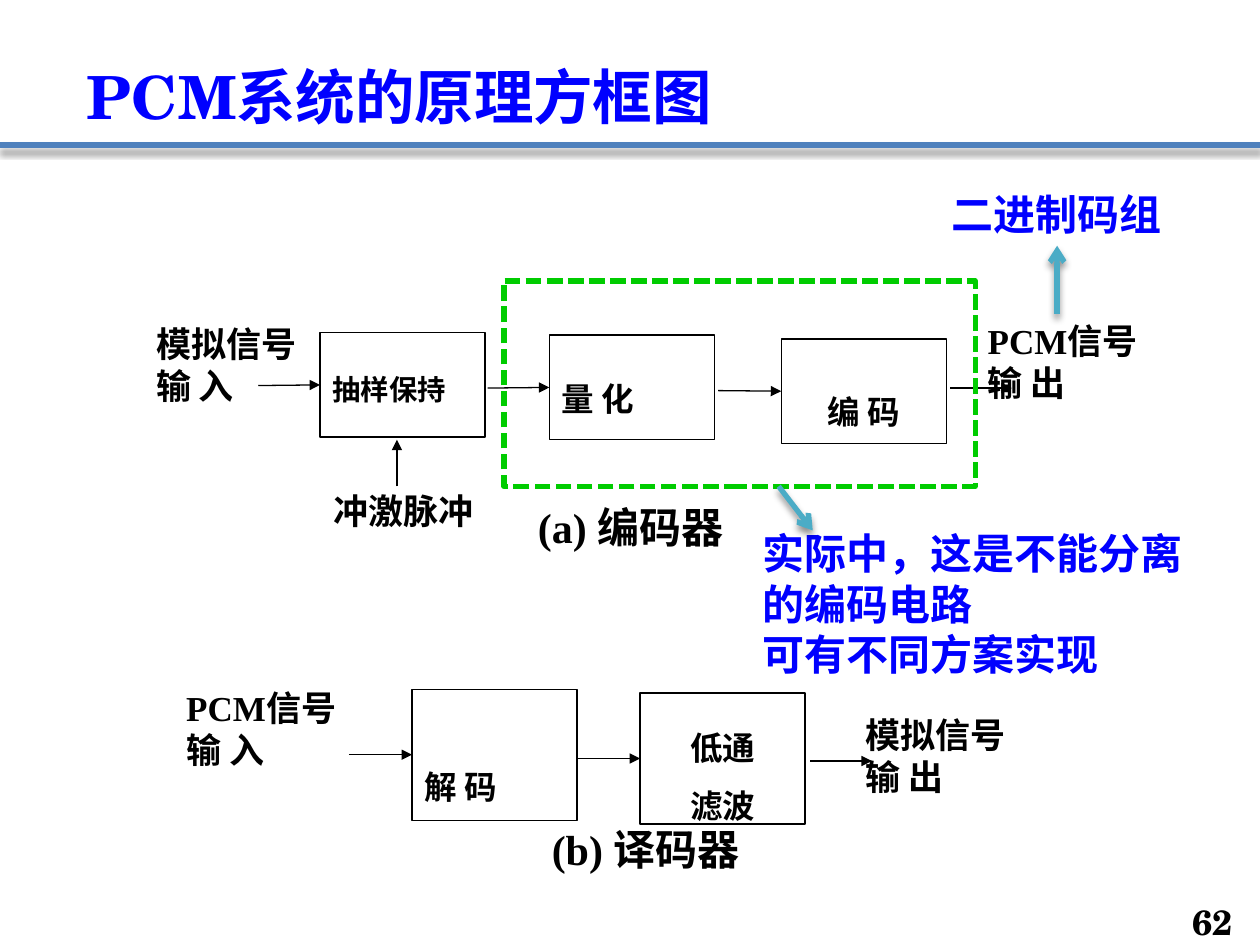
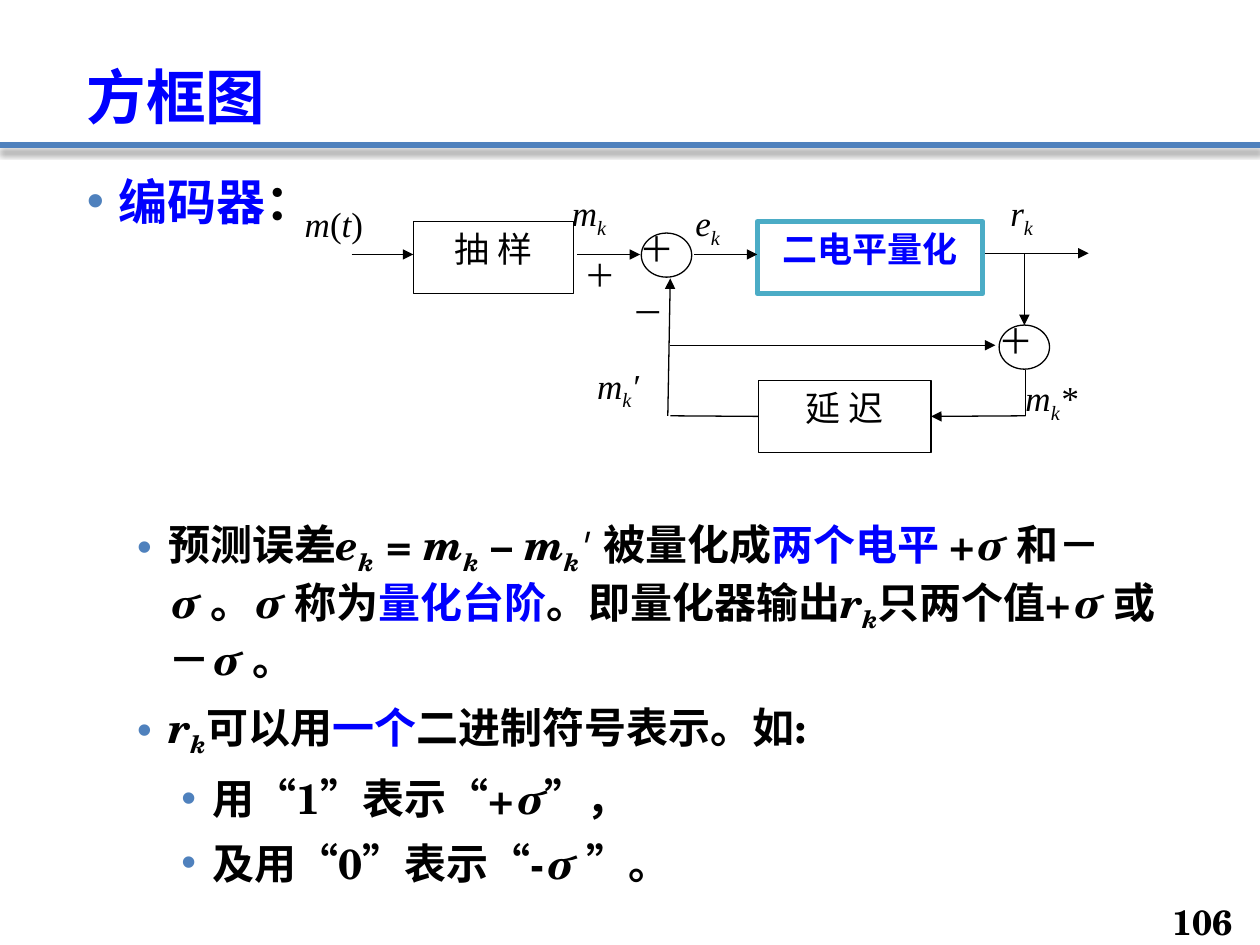
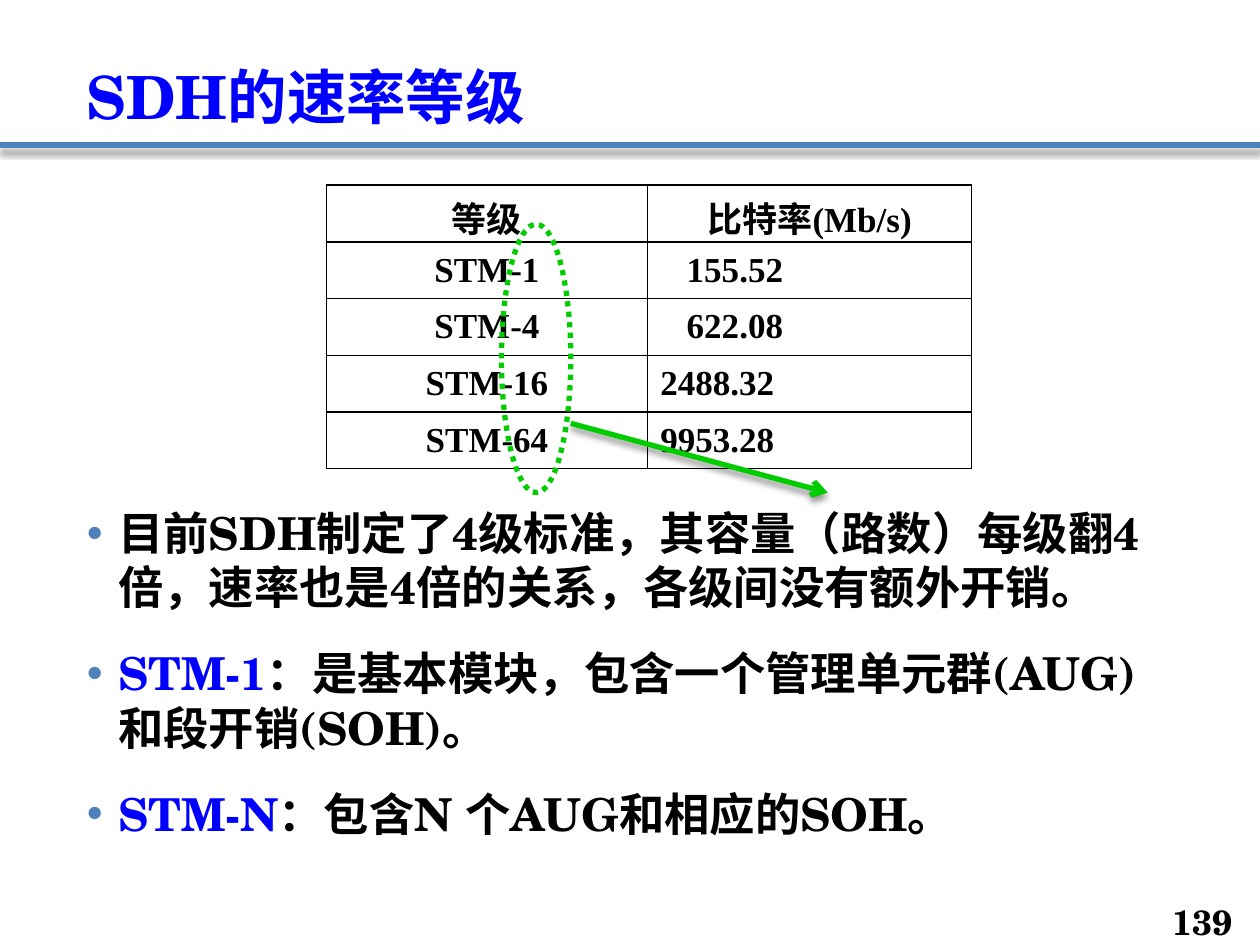
from lxml import etree
from pptx import Presentation
from pptx import util as u
from pptx.dml.color import RGBColor
from pptx.enum import dml, shapes, text
from pptx.oxml import parse_xml
from pptx.oxml.ns import nsdecls, qn

BLACK = RGBColor(0x00, 0x00, 0x00)
WHITE = RGBColor(0xFF, 0xFF, 0xFF)
BLUE = RGBColor(0x00, 0x00, 0xFF)
GREEN = RGBColor(0x00, 0xCC, 0x00)
TEAL = RGBColor(0x4B, 0xAC, 0xC6)
RULE = RGBColor(0x4F, 0x81, 0xBD)
SERIF, TIMES, SANS = "TeX Gyre Schola", "Times New Roman", "Arial"
LEFT, CENTER, RIGHT, JUST = (text.PP_ALIGN.LEFT, text.PP_ALIGN.CENTER,
                             text.PP_ALIGN.RIGHT, text.PP_ALIGN.JUSTIFY)
TOP, MIDDLE, BOTTOM = text.MSO_ANCHOR.TOP, text.MSO_ANCHOR.MIDDLE, text.MSO_ANCHOR.BOTTOM
RECT, OVAL = shapes.MSO_SHAPE.RECTANGLE, shapes.MSO_SHAPE.OVAL
SHADOW = ('<a:effectLst %s><a:outerShdw blurRad="50800" dist="38100" dir="5400000" rotWithShape="0">'
          '<a:srgbClr val="000000"><a:alpha val="43000"/></a:srgbClr></a:outerShdw></a:effectLst>')


def put(s, at, paras, size=20, font=TIMES, color=BLACK, bold=False, align=JUST, anchor=TOP,
        spacing=None, inset=None, kind=None, line=BLACK, width=0.75, fill=WHITE, dash=None):
    """Text box or shape; a paragraph is a string or (text, flags) runs: i italic, s subscript, c blue."""
    box = [u.Inches(v) for v in at]
    if kind is None:
        sp = s.shapes.add_textbox(*box)
    else:
        sp = s.shapes.add_shape(kind, *box)
        sp.shadow.inherit = False
        sp.line.color.rgb, sp.line.width, sp.line.dash_style = line, u.Pt(width), dash
        if fill is None:
            sp.fill.background()
        else:
            sp.fill.solid()
            sp.fill.fore_color.rgb = fill
    tf = sp.text_frame
    tf.word_wrap, tf.vertical_anchor = True, anchor
    if inset is not None:
        tf.margin_left = tf.margin_right = tf.margin_top = tf.margin_bottom = u.Inches(inset)
    for n, para in enumerate(paras):
        p = tf.add_paragraph() if n else tf.paragraphs[0]
        p.alignment, p.line_spacing = align, spacing
        for words, flags in [(para, "")] if isinstance(para, str) else para:
            r = p.add_run()
            r.text = words
            r.font.name, r.font.size, r.font.bold = font, u.Pt(size), bold
            r.font.italic = "i" in flags
            r.font.color.rgb = BLUE if "c" in flags else color
            if "s" in flags:
                r.font._element.set("baseline", "-25000")
    return sp


def link(s, start, end, color=BLACK, width=0.75, head="triangle", shadow=False):
    """Straight line; an end is an (x, y) point or a (shape, side) pair."""
    glued = [hasattr(e[0], "shape_id") for e in (start, end)]
    points = [(0, 0) if g else e for g, e in zip(glued, (start, end))]
    cx = s.shapes.add_connector(shapes.MSO_CONNECTOR.STRAIGHT,
                                *[u.Inches(v) for pt in points for v in pt])
    if glued[0]:
        cx.begin_connect(*start)
    if glued[1]:
        cx.end_connect(*end)
    cx.line.color.rgb, cx.line.width = color, u.Pt(width)
    if head:
        etree.SubElement(cx.line._get_or_add_ln(), qn("a:tailEnd"), type=head)
    effects = SHADOW if shadow else "<a:effectLst %s/>"
    cx._element.spPr.append(parse_xml(effects % nsdecls("a")))


prs = Presentation()
prs.slide_width, prs.slide_height = u.Inches(10), u.Inches(7.5)

# Shared title, rule and page number
slides = []
for title, number in [("PCM系统的原理方框图", "62"), ("方框图", "106"), ("SDH的速率等级", "139")]:
    s = prs.slides.add_slide(prs.slide_layouts[6])
    link(s, (0, 1.15), (10, 1.15), RULE, 3, None, True)
    put(s, (0.59, 0.21, 8.82, 0.89), [title], 34, SERIF, BLUE, True, LEFT, BOTTOM, 0.9)
    put(s, (9.19, 7.17, 0.69, 0.28), [number], 20, SERIF, BLACK, True, RIGHT, MIDDLE)
    slides.append(s)
pcm, delta, sdh = slides

# PCM: blocks of the encoder and decoder
blocks = {}
for name, at, words, size, spacing, centred in [
        ("sample", (2.54, 2.64, 1.31, 0.83), ["抽样保持"], 28, 0.96, False),
        ("quantize", (4.36, 2.66, 1.31, 0.83), ["量 化"], 32, 0.96, False),
        ("encode", (6.2, 2.69, 1.31, 0.83), ["编 码"], 32, 0.96, True),
        ("decode", (3.27, 5.47, 1.31, 1.04), ["解 码"], 32, 1.44, False),
        ("lowpass", (5.08, 5.5, 1.31, 1.04), ["低通", "滤波"], 32, 0.75, True)]:
    blocks[name] = put(pcm, at, [[(w, "s")] for w in words], size, bold=True, spacing=spacing,
                       align=CENTER if centred else JUST, anchor=MIDDLE if centred else TOP,
                       inset=0 if centred else None, kind=RECT)

# PCM: signal arrows
for start, end in [((2.05, 3.06), (blocks["sample"], 1)),
                   ((3.87, 3.08), (blocks["quantize"], 1)),
                   ((5.7, 3.1), (blocks["encode"], 1)),
                   ((7.54, 3.08), (8.03, 3.08)),
                   ((3.15, 3.86), (3.15, 3.49)),
                   ((2.77, 5.99), (blocks["decode"], 1)),
                   ((4.59, 6.02), (blocks["lowpass"], 1)),
                   ((6.43, 6.04), (6.92, 6.04))]:
    link(pcm, start, end)

# PCM: signal names and captions
for at, paras in [((1.14, 2.51, 1.34, 1.09), ["模拟信号", "输 入"]),
                  ((7.74, 2.49, 1.59, 1.02), ["PCM信号", "输 出"]),
                  ((1.38, 5.4, 1.74, 1.02), ["PCM信号", "输 入"]),
                  ((6.77, 5.61, 1.37, 1.04), ["模拟信号", "输 出"])]:
    put(pcm, at, paras, bold=True)
put(pcm, (2.56, 3.75, 1.29, 0.61), ["冲激脉冲"], bold=True, align=CENTER, anchor=MIDDLE, inset=0)
for at, caption in [((4.11, 3.93, 1.79, 0.57), "(a) 编码器"), ((4.16, 6.49, 1.93, 0.57), "(b) 译码器")]:
    put(pcm, at, [caption], 24, bold=True, align=CENTER)

# PCM: dashed group and blue remarks
put(pcm, (4, 2.23, 3.74, 1.63), [], kind=RECT, line=GREEN, width=3, fill=None,
    dash=dml.MSO_LINE.SQUARE_DOT)
sp = put(pcm, (7.45, 1.45, 1.88, 0.5), ["二进制码组"], 24, SANS, BLUE, True, LEFT)
sp.text_frame.word_wrap = False
put(pcm, (5.95, 4.14, 3.78, 1.31), ["实际中，这是不能分离的编码电路", "可有不同方案实现"],
    24, SANS, BLUE, True, LEFT)
link(pcm, (8.39, 2.49), (8.39, 1.95), TEAL, 3, "arrow", True)
link(pcm, (6.18, 3.86), (6.45, 4.21), TEAL, 3, "arrow", True)

# Delta encoder: blocks and adders
put(delta, (3.28, 1.76, 1.27, 0.57), ["抽 样"], align=CENTER, kind=RECT)
delay = put(delta, (6.02, 3.02, 1.37, 0.57), ["延 迟"], align=CENTER, kind=RECT)
put(delta, (6.01, 1.76, 1.79, 0.57), ["二电平量化"], color=BLUE, bold=True, align=CENTER,
    kind=RECT, line=TEAL, width=3)
for x, y in [(5.09, 1.85), (7.93, 2.58)]:
    put(delta, (x, y, 0.4, 0.35), [], kind=OVAL)

# Delta encoder: signal paths
for start, end, head in [((2.79, 2.02), (3.28, 2.02), "triangle"),
                         ((4.58, 2.02), (5.08, 2.02), "triangle"),
                         ((5.51, 2.02), (6.01, 2.02), "triangle"),
                         ((7.82, 2.01), (8.64, 2.01), "triangle"),
                         ((8.13, 2.01), (8.13, 2.58), "triangle"),
                         ((8.14, 2.94), (8.14, 3.3), None),
                         ((8.14, 3.3), (delay, 3), "triangle"),
                         ((delay, 1), (5.32, 3.3), None),
                         ((5.3, 3.3), (5.32, 2.21), "triangle"),
                         ((5.32, 2.74), (7.9, 2.74), "triangle")]:
    link(delta, start, end, head=head)

# Delta encoder: signs and signal names
for at, sign, size in [((4.98, 1.76, 0.81, 0.49), "＋", 20), ((7.83, 2.49, 0.62, 0.45), "＋", 20),
                       ((4.54, 1.98, 0.51, 0.45), "＋", 18), ((4.92, 2.28, 0.51, 0.45), "－", 18)]:
    put(delta, at, [sign], size)
E, M, R = [[(letter, "i"), ("k", "is")] for letter in "emr"]
for x, y, w, runs in [(2.32, 1.56, 0.9, [("m", "i"), ("(", ""), ("t", "i"), (")", "")]),
                      (4.44, 1.47, 0.9, M), (5.42, 1.55, 0.65, E), (7.92, 1.47, 0.65, R),
                      (4.64, 2.84, 0.81, M + [("′", "i")]), (8.04, 2.94, 0.78, M + [("*", "i")])]:
    put(delta, (x, y, w, 0.54), [runs])

# SDH: rate table
rates = [("等级", "比特率(Mb/s)"), ("STM-1", "155.52"), ("STM-4", "622.08"),
         ("STM-16", "2488.32"), ("STM-64", "9953.28")]
frame = sdh.shapes.add_table(5, 2, u.Inches(2.59), u.Inches(1.47), u.Inches(5.12), u.Inches(2.26))
tbl = frame.table
tbl.first_row = tbl.horz_banding = False
tbl.columns[0].width, tbl.columns[1].width = u.Inches(2.55), u.Inches(2.57)
for i, row in enumerate(rates):
    tbl.rows[i].height = u.Inches(0.45)
    for j, value in enumerate(row):
        cell = tbl.cell(i, j)
        cell.text_frame.text = value
        cell.vertical_anchor = MIDDLE
        p = cell.text_frame.paragraphs[0]
        p.alignment = LEFT if i and j else CENTER
        if j and i in (1, 2):
            cell.margin_left = u.Inches(0.31)
        f = p.runs[0].font
        f.name, f.size, f.bold, f.color.rgb = TIMES, u.Pt(20), True, BLACK
        for side in "LRTB":
            cell._tc.get_or_add_tcPr().append(parse_xml(
                f'<a:ln{side} {nsdecls("a")} w="12700"><a:solidFill><a:srgbClr val="{BLACK}"/>'
                f'</a:solidFill></a:ln{side}>'))
        cell.fill.background()

# Bulleted text: (level, space before, size, runs)
delta_points = [
    (0, 0, 28, [("编码器", "c"), ("：", "")]),
    (1, 165, 24, [("预测误差", ""), *E, (" = ", ""), *M, (" – ", ""), *M, ("′ ", "i"),
                  ("被量化成", ""), ("两个电平 ", "c"), ("+", ""), ("σ ", "i"), ("和－", ""),
                  ("σ ", "i"), ("。", ""), ("σ ", "i"), ("称为", ""), ("量化台阶", "c"),
                  ("。即量化器输出", ""), *R, ("只两个值+", ""), ("σ ", "i"), ("或－", ""),
                  ("σ ", "i"), ("。", "")]),
    (1, 10, 24, [*R, ("可以用", ""), ("一个", "c"), ("二进制符号表示。如:", "")]),
    (2, 8, 24, [("用“1”表示“+", ""), ("σ", "i"), ("”，", "")]),
    (2, 8, 24, [("及用“0”表示“-", ""), ("σ ", "i"), ("”。", "")])]
sdh_points = [
    (0, 0, 25.9, [("目前SDH制定了4级标准，其容量（路数）每级翻4倍，速率也是4倍的关系，各级间没有额外开销。", "")]),
    (0, 18, 25.9, [("STM-1", "c"), ("：是基本模块，包含一个管理单元群(AUG)和段开销(SOH)。", "")]),
    (0, 18, 25.9, [("STM-N", "c"), ("：包含N 个AUG和相应的SOH。", "")])]
for s, height, margin, points in [(delta, 5.59, 0.05, delta_points), (sdh, 5.51, 2.7, sdh_points)]:
    sp = put(s, (0.59, 1.31, 8.82, height), [pt[3] for pt in points], 24, SERIF, bold=True, align=LEFT)
    sp.text_frame.margin_top = u.Inches(margin)
    for p, (level, before, size, _) in zip(sp.text_frame.paragraphs, points):
        p.level, p.space_before = level, u.Pt(before)
        for r in p.runs:
            r.font.size = u.Pt(size)
        pPr = p._p.get_or_add_pPr()
        pPr.set("marL", str(u.Inches((0.25, 0.65, 1)[level])))
        pPr.set("indent", str(u.Inches(-0.25)))
        color = etree.SubElement(pPr, qn("a:buClr"))
        etree.SubElement(color, qn("a:srgbClr"), val=str(RULE))
        etree.SubElement(pPr, qn("a:buFont"), typeface=SANS)
        etree.SubElement(pPr, qn("a:buChar"), char="•")

# SDH: dotted mark on the levels
put(sdh, (3.98, 1.78, 0.55, 2.13), [], kind=OVAL, line=GREEN, width=3, fill=None,
    dash=dml.MSO_LINE.ROUND_DOT)
link(sdh, (4.53, 3.36), (6.57, 3.91), GREEN, 3, "arrow", True)

prs.save("out.pptx")
